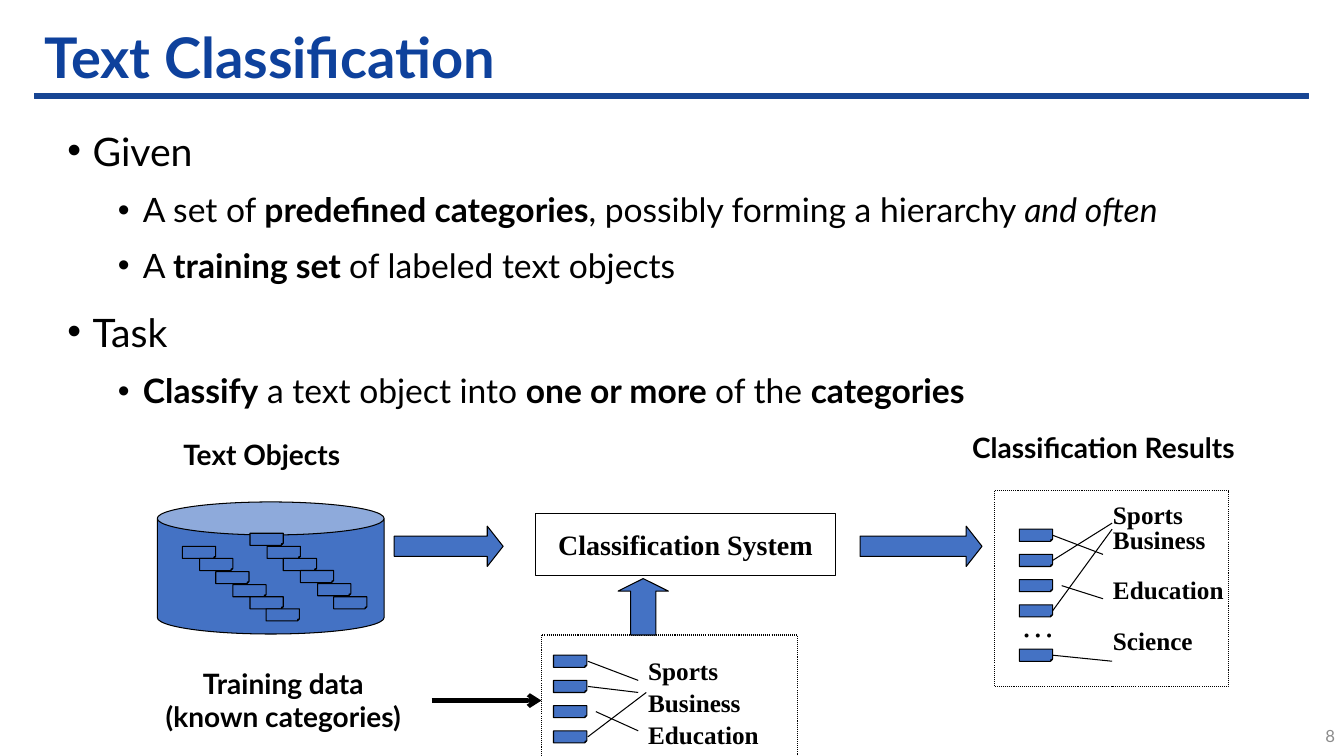
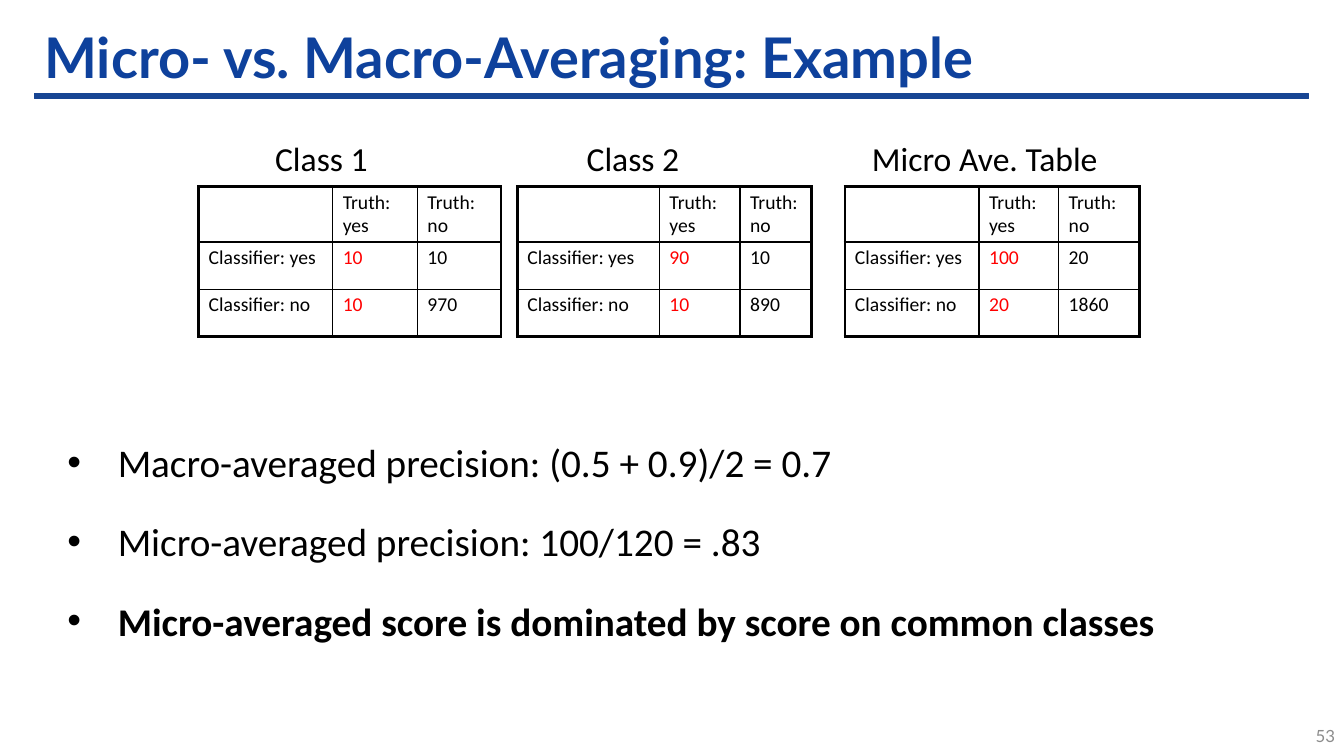
from pptx import Presentation
from pptx.dml.color import RGBColor
from pptx.enum.dml import MSO_LINE_DASH_STYLE as Dash
from pptx.enum.shapes import MSO_CONNECTOR as Link, MSO_SHAPE as Shape
from pptx.enum.text import MSO_ANCHOR as Anchor, PP_ALIGN as Align
from pptx.oxml.ns import qn
from pptx.util import Pt
from lxml.etree import SubElement

PX = 9144
COLORS = {"title": "0E419C", "band": "174593", "text": "000000", "number": "8C8C8C",
          "block": "4472C4", "hit": "FF0000"}
LATO, CALIBRI, TIMES = "Lato", "Calibri", "Times New Roman"

TITLE_BOX = (34, 26, 1264, 67)
BAND_BOX = (34, 93, 1264, 5)
NUMBER_BOX = (1267, 710, 67, 40)

TITLE_FONT = {"name": LATO, "size": Pt(40), "bold": True}
NUMBER_FONT = {"name": LATO, "size": Pt(12)}
LABEL_FONT = {"name": LATO, "size": Pt(20), "bold": True}
SYSTEM_FONT = {"name": TIMES, "size": Pt(20), "bold": True}
CATEGORY_FONT = {"name": TIMES, "size": Pt(18), "bold": True}
DOTS_FONT = {"name": TIMES, "size": Pt(24)}
CELL_FONT = {"name": CALIBRI, "size": Pt(14)}
CAPTION_FONT = {"name": CALIBRI, "size": Pt(24)}

TOPIC = {"font": {"name": LATO, "size": Pt(28)}, "indent": (25, 25),
         "spacing": {"space_before": Pt(10), "space_after": Pt(6)}}
DETAIL = {"font": {"name": LATO, "size": Pt(24)}, "indent": (75, 25),
          "spacing": {"space_before": Pt(5), "space_after": Pt(6)}}
FINDING = {"font": {"name": CALIBRI, "size": Pt(28)}, "indent": (50, 50),
           "spacing": {"space_before": Pt(5), "space_after": Pt(18)}}
BOLD, ITALIC = {"bold": True}, {"italic": True}

TASK_BULLETS = [
    (TOPIC, [("Given", {})]),
    (DETAIL, [("A set of ", {}), ("predefined categories", BOLD),
              (", possibly forming a hierarchy ", {}), ("and often", ITALIC)]),
    (DETAIL, [("A ", {}), ("training set ", BOLD), ("of labeled text objects", {})]),
    (TOPIC, [("Task", {})]),
    (DETAIL, [("Classify", BOLD), (" a text object into ", {}), ("one or more ", BOLD),
              ("of the ", {}), ("categories", BOLD)]),
]
AVERAGE_BULLETS = [
    (FINDING, [("Macro-averaged precision: (0.5 + 0.9)/2 = 0.7", {})]),
    (FINDING, [("Micro-averaged precision: 100/120 = .83", {})]),
    (FINDING, [("Micro-averaged score is dominated by score on common classes", BOLD)]),
]

LABELS = [
    ((172, 429, 186, 44), ["Text Objects"], Align.LEFT),
    ((134, 656, 294, 77), ["Training data", "(known categories)"], Align.CENTER),
    ((922, 422, 345, 44), ["Classification Results"], Align.CENTER),
]
BLOCK_ARROWS = [
    (Shape.RIGHT_ARROW, (391, 522, 108, 40), {"adj1": 50000, "adj2": 39200}),
    (Shape.RIGHT_ARROW, (853, 522, 121, 40), {"adj1": 50000, "adj2": 39200}),
    (Shape.UP_ARROW, (613, 574, 50, 56), {"adj1": 50000, "adj2": 25000}),
]
DOTTED_FRAMES = [(986, 487, 233, 194), (537, 630, 254, 130)]
STORED_RUNS = [(181, 542), (248, 529)]
STORED_PER_RUN = 6
STORED_STEP = (50 / 3, 25 / 2)
DOCUMENT_SIZE = (33, 12)
RESULT_DOCUMENTS = [(1011, top) for top in (525, 550, 575, 600, 644)]
TRAINING_DOCUMENTS = [(549, top) for top in range(650, 726, 25)]
ASSIGNMENTS = [
    (1044, 531, 1094, 550), (1044, 556, 1103, 519), (1044, 606, 1103, 525),
    (1053, 581, 1094, 594), (1044, 650, 1103, 656),
    (583, 656, 633, 675), (583, 681, 633, 687), (583, 731, 641, 687), (591, 706, 633, 725),
]
RESULT_CATEGORIES = [("Sports", 0), ("Business", 0), ("Education", 18), ("Science", 18)]
TRAINING_CATEGORIES = [("Sports", 0), ("Business", 0), ("Education", 0)]

TABLE_TOP, ROW_HEIGHTS = 185, (55, 47, 47)
HEADINGS = ["", "Truth: yes", "Truth: no"]
ROW_NAMES = ["Classifier: yes", "Classifier: no"]
CONFUSION_TABLES = [
    {"caption": "Class 1", "caption_box": (263, 132, 200, 50), "left": 197,
     "columns": (133, 84, 83), "counts": [(10, 10), (10, 970)]},
    {"caption": "Class 2", "caption_box": (572, 132, 200, 50), "left": 513,
     "columns": (141, 80, 71), "counts": [(90, 10), (10, 890)]},
    {"caption": "Micro Ave. Table", "caption_box": (855, 132, 292, 50), "left": 838,
     "columns": (133, 79, 80), "counts": [(100, 20), (20, 1860)]},
]


def emu(lengths):
    return [round(length * PX) for length in lengths]


def rgb(color):
    return RGBColor.from_string(COLORS[color])


def apply(target, values):
    for name, value in values.items():
        setattr(target, name, value)


def write(paragraph, text, font, color="text"):
    run = paragraph.add_run()
    run.text = text
    apply(run.font, font)
    run.font.color.rgb = rgb(color)


def next_paragraph(frame, index):
    return frame.add_paragraph() if index else frame.paragraphs[0]


def add_text(slide, box, lines, font, color="text", anchor=Anchor.TOP, **spacing):
    frame = slide.shapes.add_textbox(*emu(box)).text_frame
    apply(frame, {"word_wrap": True, "vertical_anchor": anchor})
    for index, line in enumerate(lines):
        paragraph = next_paragraph(frame, index)
        apply(paragraph, spacing)
        write(paragraph, line, font, color)
    return frame


def add_bullets(slide, box, bullets):
    frame = slide.shapes.add_textbox(*emu(box)).text_frame
    frame.word_wrap = True
    for index, (level, runs) in enumerate(bullets):
        paragraph = next_paragraph(frame, index)
        apply(paragraph, level["spacing"])
        margin, hanging = emu(level["indent"])
        properties = paragraph._p.get_or_add_pPr()
        properties.set("marL", str(margin))
        properties.set("indent", str(-hanging))
        SubElement(properties, qn("a:buFont")).set("typeface", "Arial")
        SubElement(properties, qn("a:buChar")).set("char", "•")
        for text, emphasis in runs:
            write(paragraph, text, {**level["font"], **emphasis})


def add_block(slide, preset, box, fill="block", line="text", width=0.75):
    block = slide.shapes.add_shape(preset, *emu(box))
    block.shadow.inherit = False
    if fill:
        block.fill.solid()
        block.fill.fore_color.rgb = rgb(fill)
    else:
        block.fill.background()
    block.line.color.rgb = rgb(line)
    block.line.width = Pt(width)
    return block


def add_block_arrow(slide, preset, box, proportions):
    arrow = add_block(slide, preset, box)
    guides = arrow._element.spPr.find(qn("a:prstGeom")).find(qn("a:avLst"))
    for guide in list(guides):
        guides.remove(guide)
    for name, value in proportions.items():
        SubElement(guides, qn("a:gd"), name=name, fmla=f"val {value}")


def add_line(slide, ends, width=0.75, arrow=False):
    link = slide.shapes.add_connector(Link.STRAIGHT, *emu(ends))
    link.line.color.rgb = rgb("text")
    link.line.width = Pt(width)
    if arrow:
        SubElement(link.line._ln, qn("a:tailEnd")).set("type", "arrow")
    SubElement(link._element.spPr, qn("a:effectLst"))


def add_documents(slide, corners):
    for corner in corners:
        add_block(slide, Shape.FOLDED_CORNER, (*corner, *DOCUMENT_SIZE))


def add_categories(slide, box, categories, line_spacing):
    frame = add_text(slide, box, [name for name, _ in categories], CATEGORY_FONT,
                     line_spacing=line_spacing)
    for paragraph, (_, gap) in zip(frame.paragraphs, categories):
        paragraph.space_before = Pt(gap)


def set_borders(cell, row, column, last):
    outer = {"a:lnL": column == 0, "a:lnR": column == last,
             "a:lnT": row == 0, "a:lnB": row == last}
    properties = cell._tc.get_or_add_tcPr()
    for tag, is_outer in outer.items():
        border = SubElement(properties, qn(tag), w=str(int(Pt(2.25 if is_outer else 1))))
        fill = SubElement(border, qn("a:solidFill"))
        SubElement(fill, qn("a:srgbClr")).set("val", COLORS["text"])


def add_confusion_table(slide, left, columns, counts, caption, caption_box):
    rows = [HEADINGS] + [[name, *map(str, pair)] for name, pair in zip(ROW_NAMES, counts)]
    box = (left, TABLE_TOP, sum(columns), sum(ROW_HEIGHTS))
    table = slide.shapes.add_table(len(rows), len(columns), *emu(box)).table
    apply(table, {"first_row": False, "horz_banding": False})
    for column, width in zip(table.columns, emu(columns)):
        column.width = width
    for row, height in zip(table.rows, emu(ROW_HEIGHTS)):
        row.height = height
    margin_x, margin_y = emu((10, 4))
    for r, row in enumerate(rows):
        for c, text in enumerate(row):
            cell = table.cell(r, c)
            apply(cell, {"margin_left": margin_x, "margin_right": margin_x,
                         "margin_top": margin_y, "margin_bottom": margin_y})
            set_borders(cell, r, c, len(rows) - 1)
            cell.fill.background()
            if text:
                color = "hit" if r and c == 1 else "text"
                write(cell.text_frame.paragraphs[0], text, CELL_FONT, color)
    add_text(slide, caption_box, [caption], CAPTION_FONT)


def add_slide(deck, heading, number):
    slide = deck.slides.add_slide(deck.slide_layouts[5])
    add_block(slide, Shape.RECTANGLE, BAND_BOX, "band", line="band", width=1)
    title = slide.shapes.title
    apply(title, dict(zip(("left", "top", "width", "height"), emu(TITLE_BOX))))
    apply(title.text_frame, {"word_wrap": True, "vertical_anchor": Anchor.MIDDLE})
    paragraph = title.text_frame.paragraphs[0]
    apply(paragraph, {"alignment": Align.LEFT, "line_spacing": 0.9})
    write(paragraph, heading, TITLE_FONT, "title")
    add_text(slide, NUMBER_BOX, [number], NUMBER_FONT, "number", Anchor.MIDDLE,
             alignment=Align.RIGHT)
    return slide


def build_classification(deck):
    slide = add_slide(deck, "Text Classification", "8")
    add_bullets(slide, (57, 121, 1210, 301), TASK_BULLETS)
    add_block(slide, Shape.CAN, (156, 498, 225, 131))
    step_x, step_y = STORED_STEP
    add_documents(slide, [(round(left + i * step_x), round(top + i * step_y))
                          for left, top in STORED_RUNS for i in range(STORED_PER_RUN)])
    add_documents(slide, RESULT_DOCUMENTS + TRAINING_DOCUMENTS)
    system = add_block(slide, Shape.RECTANGLE, (531, 509, 298, 62), None).text_frame
    apply(system, {"word_wrap": False, "vertical_anchor": Anchor.MIDDLE})
    system.paragraphs[0].alignment = Align.CENTER
    write(system.paragraphs[0], "Classification System", SYSTEM_FONT)
    for box in DOTTED_FRAMES:
        add_block(slide, Shape.RECTANGLE, box, None).line.dash_style = Dash.ROUND_DOT
    for preset, box, proportions in BLOCK_ARROWS:
        add_block_arrow(slide, preset, box, proportions)
    for ends in ASSIGNMENTS:
        add_line(slide, ends)
    add_line(slide, (428, 695, 537, 695), 3, arrow=True)
    add_text(slide, (1003, 594, 54, 50), ["…"], DOTS_FONT)
    add_categories(slide, (1094, 495, 131, 192), RESULT_CATEGORIES, Pt(18))
    add_categories(slide, (633, 644, 131, 101), TRAINING_CATEGORIES, 1.05)
    for box, lines, alignment in LABELS:
        add_text(slide, box, lines, LABEL_FONT, alignment=alignment)


def build_averaging(deck):
    slide = add_slide(deck, "Micro- vs. Macro-Averaging: Example", "53")
    add_bullets(slide, (57, 430, 1210, 242), AVERAGE_BULLETS)
    for confusion in CONFUSION_TABLES:
        add_confusion_table(slide, **confusion)


def main():
    deck = Presentation()
    deck.slide_width, deck.slide_height = emu((1333, 750))
    build_classification(deck)
    build_averaging(deck)
    deck.save("out.pptx")


if __name__ == "__main__":
    main()
